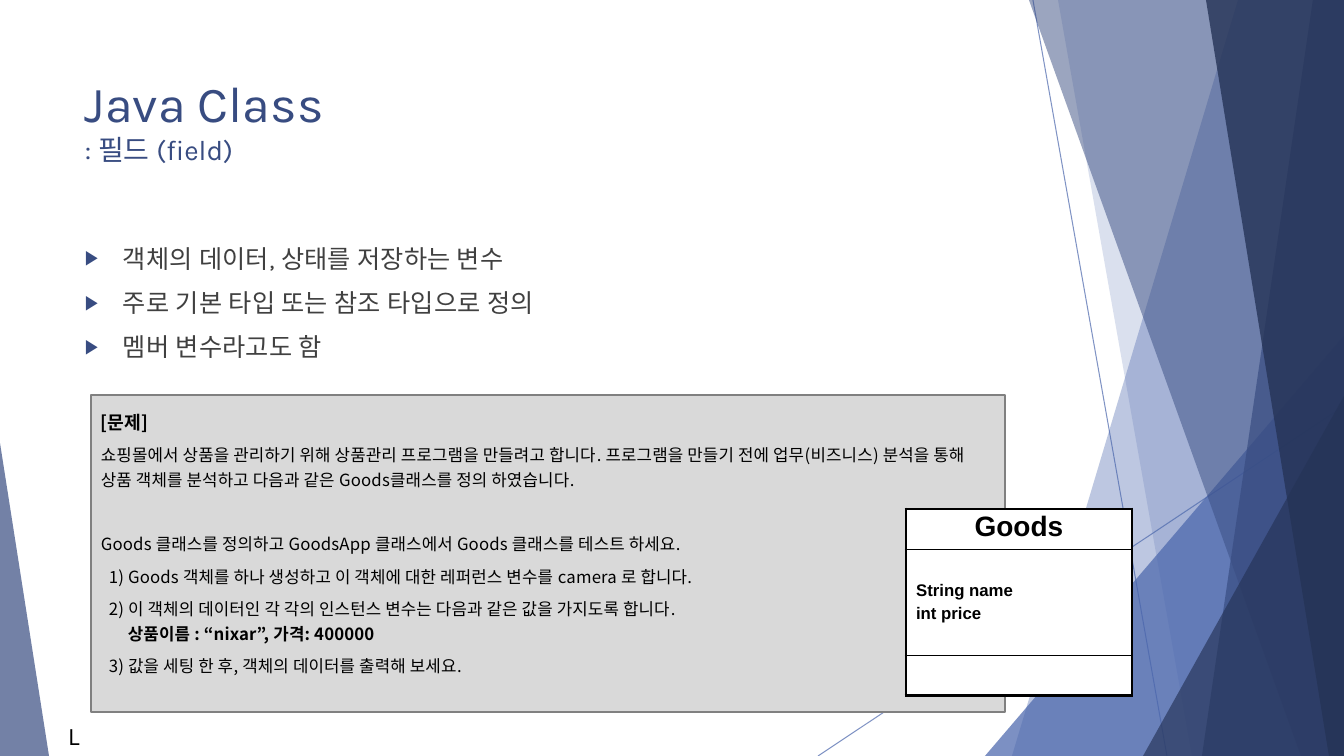
from lxml import etree
from pptx import Presentation
from pptx import util as u
from pptx.dml.color import RGBColor
from pptx.enum import shapes, text
from pptx.oxml.ns import qn

SCALE = 914400 / 100.8
WIDTH, HEIGHT = 1344, 756
C = {"blue": "4A66AC", "navy": "384C81", "dark": "253356", "body": "404040",
     "panel": "D9D9D9", "edge": "808080", "black": "000000", "white": "FFFFFF"}
KARLA, NOTO = "Karla", "Noto Sans CJK KR"


def px(*values):
    return [u.Emu(round(v * SCALE)) for v in values]


def rgb(name):
    return RGBColor.from_string(C[name])


def sub(parent, tag, **attrs):
    return etree.SubElement(parent, qn(tag), attrs)


def set_alpha(sp, percent):
    color = next(sp._element.spPr.iter(qn("a:srgbClr")))
    sub(color, "a:alpha", val=str(percent * 1000))


def paint(sp, color, alpha=None):
    sp.shadow.inherit = False
    sp.fill.solid()
    sp.fill.fore_color.rgb = rgb(color)
    if alpha:
        set_alpha(sp, alpha)
        sp.line.fill.background()


def add_run(p, words, size, face, color, bold=False, tracking=0):
    r = p.add_run()
    r.text = words
    for key, value in {"size": u.Pt(size), "name": face, "bold": bold}.items():
        setattr(r.font, key, value)
    r.font.color.rgb = rgb(color)
    rPr = r._r.get_or_add_rPr()
    sub(rPr, "a:ea", typeface=face)
    if tracking:
        rPr.set("spc", str(tracking))


def format_paragraph(p, **values):
    for key, value in values.items():
        setattr(p, key, value)


def paragraphs(tf, count):
    return [tf.paragraphs[0]] + [tf.add_paragraph() for _ in range(count - 1)]


def add_box(s, x, y, w, h, wrap=True):
    tf = s.shapes.add_textbox(*px(x, y, w, h)).text_frame
    tf.word_wrap = wrap
    return tf


def add_ray(s, x1, y1, x2, y2):
    sp = s.shapes.add_connector(shapes.MSO_CONNECTOR.STRAIGHT, *px(x1, y1, x2, y2))
    sp.line.color.rgb = rgb("blue")
    sp.line.width = u.Pt(0.75)
    set_alpha(sp, 70)
    sub(sp._element.spPr, "a:effectLst")


def add_shard(s, top, bottom, color, alpha):
    fb = s.shapes.build_freeform(top, 0, SCALE)
    fb.add_line_segments([(WIDTH, 0), (WIDTH, HEIGHT), (bottom, HEIGHT)], close=True)
    paint(fb.convert_to_shape(), color, alpha)


def add_wedge(s, x, y, w, apex, color, alpha):
    sp = s.shapes.add_shape(shapes.MSO_SHAPE.ISOSCELES_TRIANGLE,
                            *px(x, y, w, HEIGHT - y))
    sp.adjustments[0] = apex
    paint(sp, color, alpha)


def draw_backdrop(s):
    add_ray(s, 1033, 0, 1167, HEIGHT)
    add_ray(s, WIDTH, 406, 818, HEIGHT)
    add_shard(s, 1238, 1012, "blue", 36)
    add_shard(s, 1058, 1192, "blue", 20)
    add_wedge(s, 985, 336, WIDTH - 985, 1, "blue", 72)
    for top, bottom, color, alpha in [(1029, 1301, "navy", 50),
                                      (1313, 1202, "navy", 70),
                                      (1206, 1329, "dark", 80)]:
        add_shard(s, top, bottom, color, alpha)
    add_wedge(s, 1143, 396, WIDTH - 1143, 1, "dark", 66)
    add_wedge(s, 0, 443, 49, 0, "navy", 70)


def draw_title(s, x, y, w, h):
    p = add_box(s, x, y, w, h).paragraphs[0]
    add_run(p, "Java Class", 36, KARLA, "navy")
    p.add_line_break()
    add_run(p, ": 필드 (field)", 20, KARLA, "navy")


def draw_bullets(s, x, y, w, h):
    items = ["객체의 데이터, 상태를 저장하는 변수",
             "주로 기본 타입 또는 참조 타입으로 정의",
             "멤버 변수라고도 함"]
    tf = add_box(s, x, y, w, h)
    for i, (p, words) in enumerate(zip(paragraphs(tf, len(items)), items)):
        format_paragraph(p, space_before=u.Pt(10 if i else 0))
        pPr = p._p.get_or_add_pPr()
        indent = px(38)[0]
        pPr.set("marL", str(indent))
        pPr.set("indent", str(-indent))
        sub(sub(pPr, "a:buClr"), "a:srgbClr", val=C["navy"])
        sub(pPr, "a:buSzPct", val="80000")
        sub(pPr, "a:buFont", typeface="Arial")
        sub(pPr, "a:buChar", char="▶")
        add_run(p, words, 18, KARLA, "body", tracking=15)


def draw_exercise(s, x, y, w, h):
    sp = s.shapes.add_shape(shapes.MSO_SHAPE.RECTANGLE, *px(x, y, w, h))
    paint(sp, "panel")
    sp.line.color.rgb = rgb("edge")
    sp.line.width = u.Pt(1)
    tf = sp.text_frame
    tf.word_wrap = True
    tf.vertical_anchor = text.MSO_ANCHOR.TOP
    rows = [
        ("[문제]", 13, 0, False),
        ("쇼핑몰에서 상품을 관리하기 위해 상품관리 프로그램을 만들려고 합니다. "
         "프로그램을 만들기 전에 업무(비즈니스) 분석을 통해 상품 객체를 분석하고 "
         "다음과 같은 Goods클래스를 정의 하였습니다.", 12, 6, False),
        ("Goods 클래스를 정의하고 GoodsApp 클래스에서 Goods 클래스를 테스트 하세요.",
         12, 29, False),
        ("1) Goods 객체를 하나 생성하고 이 객체에 대한 레퍼런스 변수를 camera 로 합니다.",
         12, 6, True),
        ("2) 이 객체의 데이터인 각 각의 인스턴스 변수는 다음과 같은 값을 가지도록 합니다."
         "\n상품이름 : “nixar”, 가격: 400000", 12, 6, True),
        ("3) 값을 세팅 한 후, 객체의 데이터를 출력해 보세요.", 12, 6, True),
    ]
    for p, (words, size, before, step) in zip(paragraphs(tf, len(rows)), rows):
        heading = size == 13
        format_paragraph(p, alignment=text.PP_ALIGN.LEFT, space_before=u.Pt(before),
                         line_spacing=1.5 if heading else 1.2)
        if step:
            margin, hang = px(27, -19)
            p._p.get_or_add_pPr().set("marL", str(margin))
            p._p.get_or_add_pPr().set("indent", str(hang))
        for i, line in enumerate(words.split("\n")):
            if i:
                p.add_line_break()
            add_run(p, line, size, NOTO, "black", heading or i > 0, tracking=10)


def add_borders(cell, top, bottom):
    tcPr = cell._tc.get_or_add_tcPr()
    for side, width in {"L": 2.25, "R": 2.25, "T": top, "B": bottom}.items():
        ln = sub(tcPr, "a:ln" + side, w=str(u.Pt(width)))
        sub(sub(ln, "a:solidFill"), "a:srgbClr", val=C["black"])


def draw_class_table(s, x, y, w, heights):
    members = [(["Goods"], 20), (["String name", "int price"], 12), ([], 12)]
    last = len(members) - 1
    table = s.shapes.add_table(len(members), 1, *px(x, y, w, sum(heights))).table
    table.first_row = table.horz_banding = False
    for i, (lines, size) in enumerate(members):
        table.rows[i].height = px(heights[i])[0]
        cell = table.cell(i, 0)
        add_borders(cell, 1 if i else 2.25, 2.25 if i == last else 1)
        cell.fill.solid()
        cell.fill.fore_color.rgb = rgb("white")
        if not lines:
            cell.margin_top = cell.margin_bottom = 0
            continue
        if i:
            cell.vertical_anchor = text.MSO_ANCHOR.MIDDLE
        for j, p in enumerate(paragraphs(cell.text_frame, len(lines))):
            format_paragraph(p, space_before=u.Pt(3 if j else 0),
                             line_spacing=1.0 if i else 0.9,
                             alignment=text.PP_ALIGN.LEFT if i else text.PP_ALIGN.CENTER)
            add_run(p, lines[j], size, "Arial", "black", True)


def draw_mark(s, x, y, w, h):
    tf = add_box(s, x, y, w, h, wrap=False)
    add_run(tf.paragraphs[0], "L", 18, KARLA, "black")


def main():
    prs = Presentation()
    prs.slide_width, prs.slide_height = px(WIDTH, HEIGHT)
    s = prs.slides.add_slide(prs.slide_layouts[6])
    draw_backdrop(s)
    draw_title(s, 75, 67, 948, 145)
    draw_bullets(s, 75, 238, 948, 427)
    draw_exercise(s, 91, 395, 914, 317)
    draw_class_table(s, 906, 509, 226, [40, 106, 40])
    draw_mark(s, 58, 715, 33, 40)
    prs.save("out.pptx")


if __name__ == "__main__":
    main()
